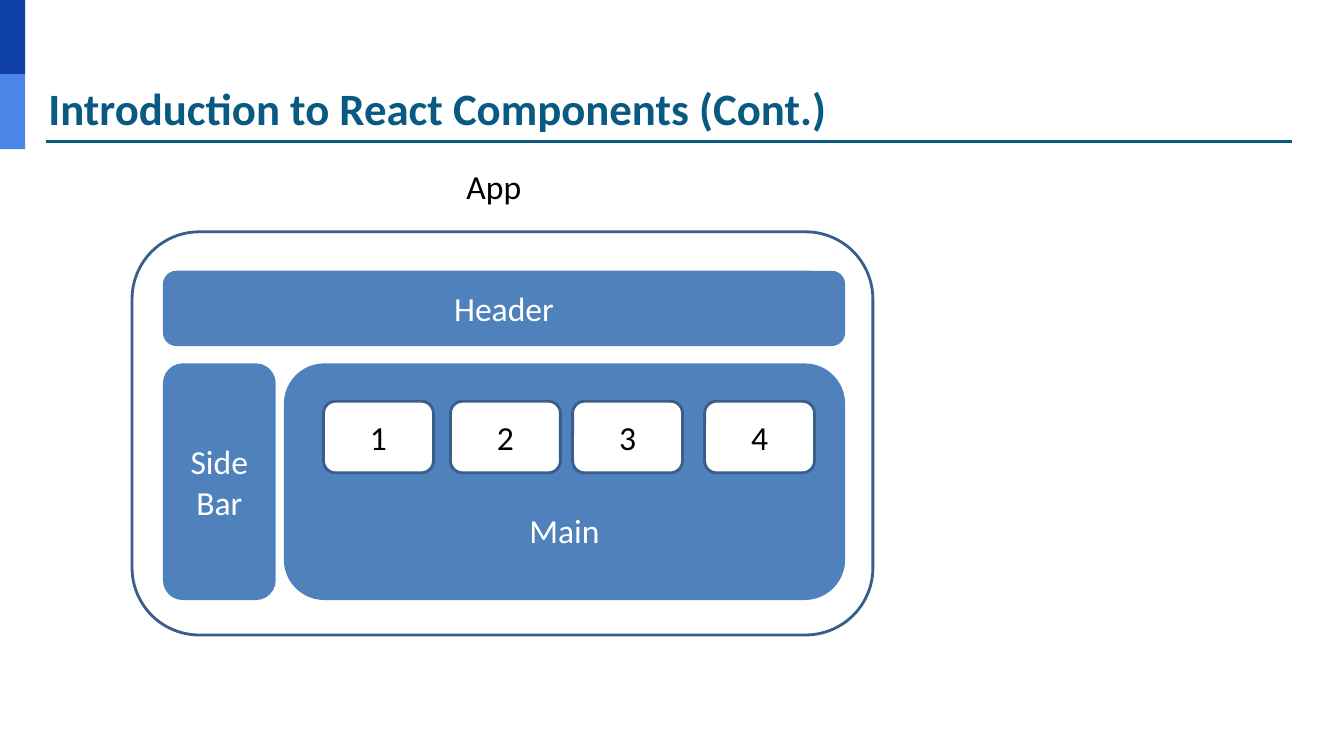
import pptx
import pptx.util
import pptx.dml.color
import pptx.enum.shapes
import pptx.enum.text
import pptx.oxml.ns
from dataclasses import dataclass
from lxml import etree

Pt = pptx.util.Pt
SHAPES = pptx.enum.shapes.MSO_SHAPE
ALIGN = pptx.enum.text.PP_ALIGN
ANCHOR = pptx.enum.text.MSO_ANCHOR


@dataclass(frozen=True)
class Theme:
    font: str = "Calibri"
    title_size: float = 32
    body_size: float = 24
    heading: str = "095A82"
    dark_stripe: str = "0F3FA8"
    light_stripe: str = "4A86E8"
    panel: str = "4F81BD"
    outline: str = "395E89"
    white: str = "FFFFFF"
    black: str = "000000"
    border: float = 2
    rule: float = 2.25


THEME = Theme()

TITLE = "Introduction to React Components (Cont.)"
TITLE_BOX = (33.1, 56, 877.7, 38.9)
RULE = (33.1, 923, 100.8)
STRIPES = [THEME.dark_stripe, THEME.light_stripe]
STRIPE_SIZE = (18, 53.3)
APP = ("App", (316.8, 115.2, 72, 36))
APP_FRAME = (94.3, 165.6, 529.2, 288)
PANELS = [
    ("Header", (117.4, 194.4, 485.3, 51.8), 3.6),
    ("Side Bar", (117.4, 260.6, 78.5, 167), 3.6),
    ("Main", (203.8, 260.6, 398.9, 167), 72),
]
CARDS = {"1": 231.1, "2": 321.8, "3": 409, "4": 503.3}
CARD_TOP, CARD_WIDTH, CARD_HEIGHT = 286.6, 78.5, 51.1


def rgb(color):
    return pptx.dml.color.RGBColor.from_string(color)


def apply(target, formats):
    for key, value in formats.items():
        setattr(target, key, value)


def write(frame, text, color, size, align, insets, anchor, bold=False):
    sides = ("margin_left", "margin_top", "margin_right", "margin_bottom")
    apply(frame, dict(zip(sides, map(Pt, insets))))
    apply(frame, {"word_wrap": True, "vertical_anchor": anchor,
                  "auto_size": pptx.enum.text.MSO_AUTO_SIZE.NONE})
    paragraph = frame.paragraphs[0]
    paragraph.alignment = align
    run = paragraph.add_run()
    run.text = text
    apply(run.font, {"name": THEME.font, "size": Pt(size), "bold": bold})
    run.font.color.rgb = rgb(color)


def add_block(slide, kind, box, fill=None, line=None):
    block = slide.shapes.add_shape(kind, *map(Pt, box))
    block.shadow.inherit = False
    for part, color in ((block.fill, fill), (block.line.fill, line)):
        if color:
            part.solid()
            part.fore_color.rgb = rgb(color)
        else:
            part.background()
    if line:
        block.line.width = Pt(THEME.border)
    return block


def label(block, text, color, top=3.6, anchor=ANCHOR.MIDDLE):
    write(block.text_frame, text, color, THEME.body_size, ALIGN.CENTER,
          (7.2, top, 7.2, 3.6), anchor)


def add_heading(slide):
    for index, color in enumerate(STRIPES):
        width, height = STRIPE_SIZE
        add_block(slide, SHAPES.RECTANGLE, (0, index * height, width, height), color)
    left, right, y = RULE
    rule = slide.shapes.add_connector(
        pptx.enum.shapes.MSO_CONNECTOR.STRAIGHT, Pt(left), Pt(y), Pt(right), Pt(y))
    rule.line.color.rgb = rgb(THEME.heading)
    rule.line.width = Pt(THEME.rule)
    etree.SubElement(rule.element.spPr, pptx.oxml.ns.qn("a:effectLst"))
    title = slide.shapes.title
    apply(title, dict(zip(("left", "top", "width", "height"), map(Pt, TITLE_BOX))))
    write(title.text_frame, TITLE, THEME.heading, THEME.title_size, ALIGN.LEFT,
          (1.44,) * 4, ANCHOR.TOP, bold=True)


def add_app(slide):
    rounded = SHAPES.ROUNDED_RECTANGLE
    add_block(slide, rounded, APP_FRAME, line=THEME.outline)
    for text, box, top in PANELS:
        label(add_block(slide, rounded, box, THEME.panel, THEME.panel),
              text, THEME.white, top)
    for text, left in CARDS.items():
        box = (left, CARD_TOP, CARD_WIDTH, CARD_HEIGHT)
        label(add_block(slide, rounded, box, THEME.white, THEME.outline),
              text, THEME.black)
    text, box = APP
    label(slide.shapes.add_textbox(*map(Pt, box)), text, THEME.black, anchor=ANCHOR.TOP)


def main():
    deck = pptx.Presentation()
    apply(deck, {"slide_width": Pt(960), "slide_height": Pt(540)})
    slide = deck.slides.add_slide(deck.slide_layouts.get_by_name("Title Only"))
    add_heading(slide)
    add_app(slide)
    deck.save("out.pptx")


if __name__ == "__main__":
    main()
